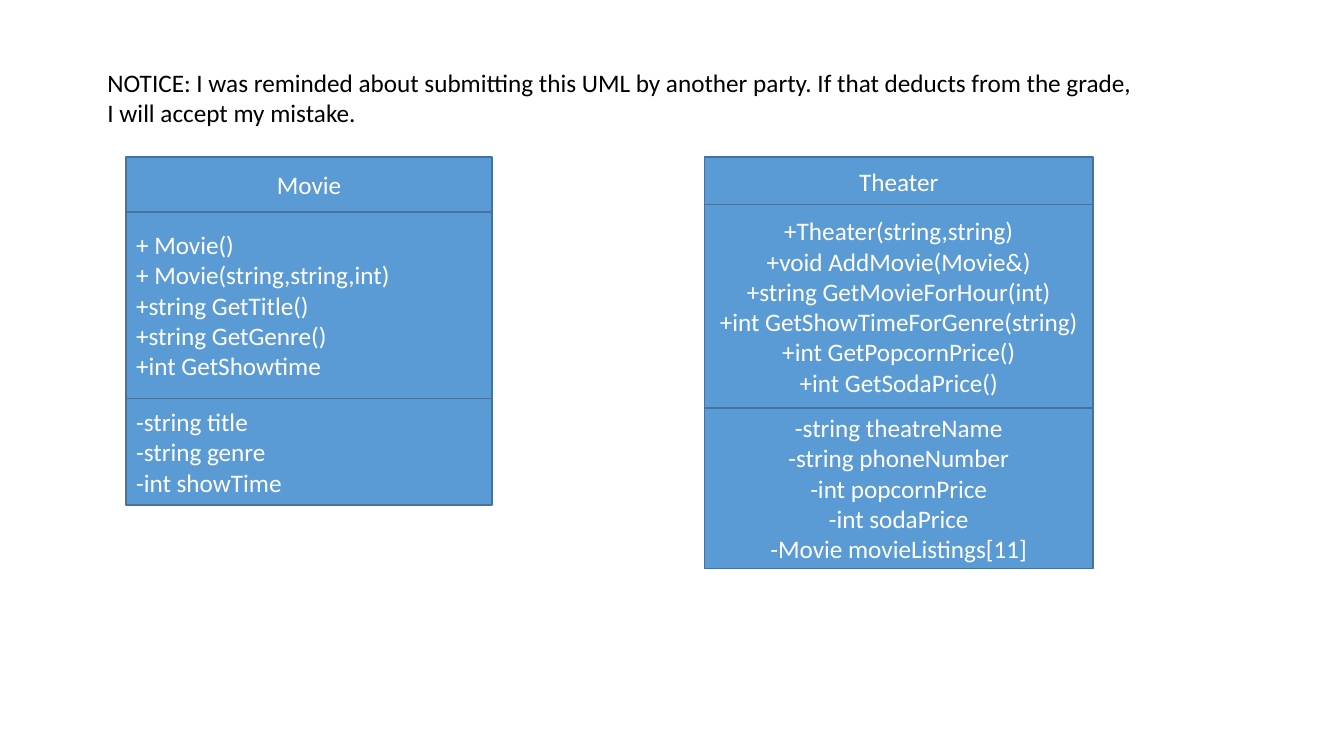
from pptx import Presentation
from pptx.dml.color import RGBColor
from pptx.enum.shapes import MSO_SHAPE
from pptx.enum.text import MSO_ANCHOR, MSO_AUTO_SIZE, PP_ALIGN
from pptx.util import Cm, Pt

NOTICE = [
    "NOTICE: I was reminded about submitting this UML by another party. "
    "If that deducts from the grade,",
    "I will accept my mistake.",
]
MOVIE = [
    (1.38, ["Movie"], PP_ALIGN.CENTER),
    (4.7, ["+ Movie()", "+ Movie(string,string,int)", "+string GetTitle()",
           "+string GetGenre()", "+int GetShowtime"], PP_ALIGN.LEFT),
    (2.69, ["-string title", "-string genre", "-int showTime"], PP_ALIGN.LEFT),
]
THEATER = [
    (1.2, ["Theater"], PP_ALIGN.CENTER),
    (5.12, ["+Theater(string,string)", "+void AddMovie(Movie&)",
            "+string GetMovieForHour(int)", "+int GetShowTimeForGenre(string)",
            "+int GetPopcornPrice()", "+int GetSodaPrice()"], PP_ALIGN.CENTER),
    (4.04, ["-string theatreName", "-string phoneNumber", "-int popcornPrice",
            "-int sodaPrice", "-Movie movieListings[11]"], PP_ALIGN.CENTER),
]


def color(hex_code):
    """Turn a hex string into a colour."""
    return RGBColor.from_string(hex_code)


def write_lines(frame, lines, align, hex_code):
    """Write each line as a paragraph of the frame."""
    for index, line in enumerate(lines):
        paragraph = frame.paragraphs[0] if index == 0 else frame.add_paragraph()
        paragraph.alignment = align
        run = paragraph.add_run()
        run.text = line
        run.font.name = "Calibri"
        run.font.size = Pt(18)
        run.font.color.rgb = color(hex_code)


def add_notice(slide, left, top, width, height):
    """Place the notice above the class diagrams."""
    notice = slide.shapes.add_textbox(Cm(left), Cm(top), Cm(width), Cm(height))
    frame = notice.text_frame
    frame.word_wrap = False
    frame.auto_size = MSO_AUTO_SIZE.SHAPE_TO_FIT_TEXT
    write_lines(frame, NOTICE, PP_ALIGN.LEFT, "000000")


def add_class(slide, left, top, width, compartments):
    """Stack the compartments of one UML class downwards."""
    for height, members, align in compartments:
        compartment = slide.shapes.add_shape(
            MSO_SHAPE.RECTANGLE, Cm(left), Cm(top), Cm(width), Cm(height))
        compartment.shadow.inherit = False
        compartment.fill.solid()
        compartment.fill.fore_color.rgb = color("5B9BD5")
        compartment.line.color.rgb = color("43739E")
        compartment.line.width = Pt(1)
        frame = compartment.text_frame
        frame.word_wrap = True
        frame.vertical_anchor = MSO_ANCHOR.MIDDLE
        write_lines(frame, members, align, "FFFFFF")
        top += height


def build_uml_slide(presentation):
    """Add the slide with the notice and both classes."""
    slide = presentation.slides.add_slide(presentation.slide_layouts[6])
    add_notice(slide, 2.46, 1.57, 26.8, 1.8)
    add_class(slide, 3.18, 3.96, 9.22, MOVIE)
    add_class(slide, 17.75, 3.96, 9.8, THEATER)


presentation = Presentation()
presentation.slide_width = Cm(33.87)
presentation.slide_height = Cm(19.05)
build_uml_slide(presentation)
presentation.save("out.pptx")
